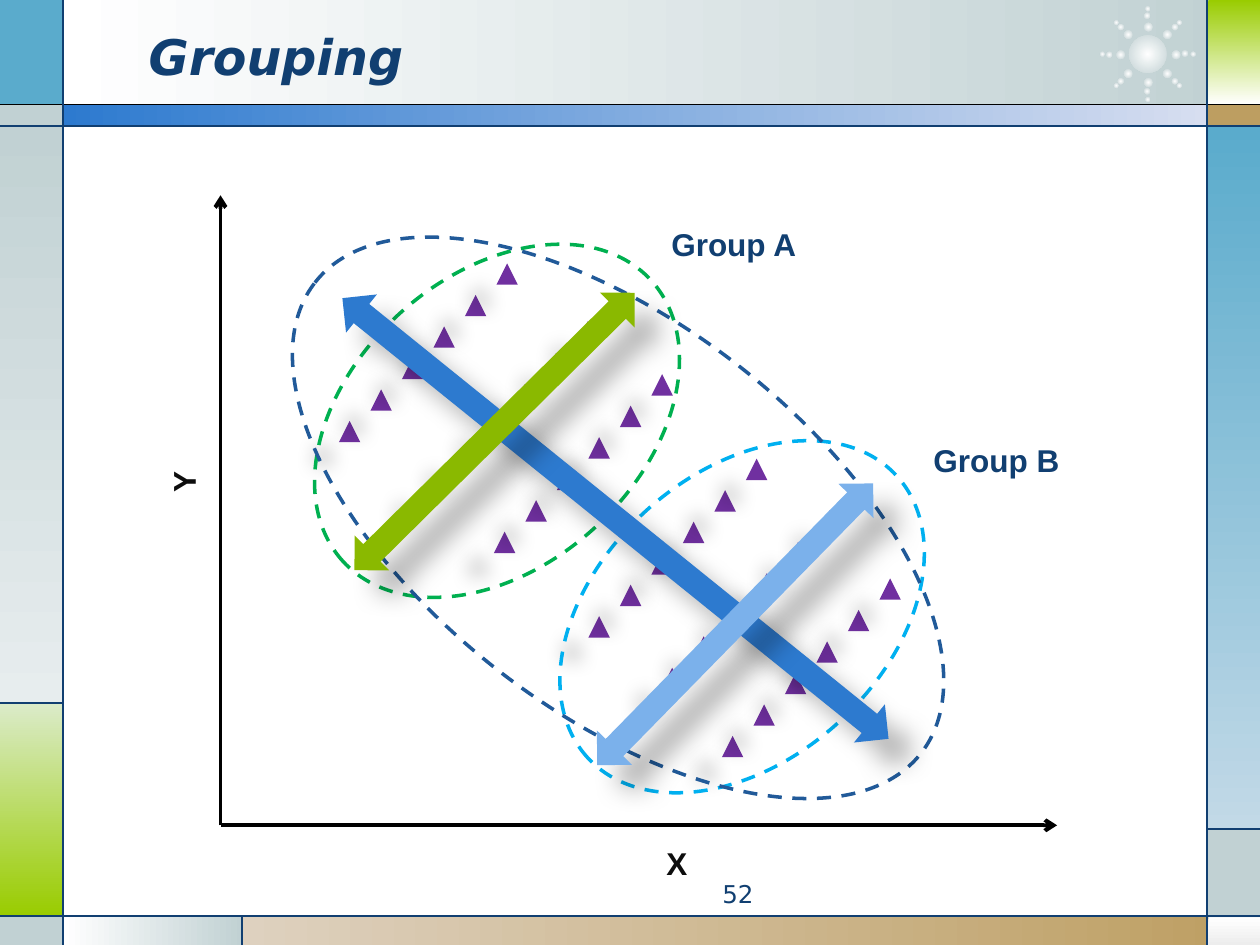
import math
from dataclasses import dataclass

from lxml import etree
from pptx import Presentation
from pptx.dml.color import RGBColor
from pptx.enum.dml import MSO_LINE
from pptx.enum.shapes import MSO_CONNECTOR, MSO_SHAPE
from pptx.enum.text import MSO_ANCHOR, MSO_AUTO_SIZE, PP_ALIGN
from pptx.oxml import parse_xml
from pptx.oxml.ns import nsdecls, qn
from pptx.util import Pt

PX = 9144  # EMU per px, 100 px to the inch
RECTANGLE, ELLIPSE = MSO_SHAPE.RECTANGLE, MSO_SHAPE.OVAL
TRIANGLE, DOUBLE_ARROW = MSO_SHAPE.ISOSCELES_TRIANGLE, MSO_SHAPE.UP_DOWN_ARROW
STRAIGHT, DASH = MSO_CONNECTOR.STRAIGHT, MSO_LINE.DASH
LEFT, RIGHT, MIDDLE, TOP = PP_ALIGN.LEFT, PP_ALIGN.RIGHT, MSO_ANCHOR.MIDDLE, MSO_ANCHOR.TOP
FIT_TEXT, FIXED = MSO_AUTO_SIZE.SHAPE_TO_FIT_TEXT, MSO_AUTO_SIZE.NONE
ACROSS, DOWN, RADIAL = 0, 270, None


@dataclass(frozen=True)
class Theme:
    heading_font: str = "DejaVu Sans"
    label_font: str = "Arial"
    title_size: int = 28
    label_size: int = 18
    number_size: int = 14
    rule_width: float = 0.75
    axis_width: float = 2.25
    outline_width: float = 2
    navy: str = "113F71"
    black: str = "000000"
    ink: str = "0D0D0D"
    white: str = "FFFFFF"
    mist: str = "C1D1D3"
    pale_mist: str = "E7EDEE"
    silver: str = "EDEDED"
    sky: str = "5AABCC"
    pale_sky: str = "C2D9E7"
    lime: str = "99CC00"
    pale_lime: str = "DBEBC9"
    tan: str = "BD9E61"
    pale_tan: str = "DED1BF"
    blue: str = "2D7ACF"
    pale_blue: str = "D7DEF0"
    light_blue: str = "7BB1EB"
    olive: str = "8AB900"
    purple: str = "7030A0"
    group_a: str = "00B050"
    group_b: str = "00B0F0"
    whole: str = "215A99"


THEME = Theme()
# Opacity %, blur pt, distance pt, direction in degrees
POINT_SHADOW = (28, 11.8, 19.7, 141)
ARROW_SHADOW = (30, 15, 18, 45)


def write(frame, text, size=THEME.label_size, font=THEME.label_font, color=THEME.navy,
          bold=False, italic=False, align=LEFT, anchor=TOP, wrap=False, fit=FIT_TEXT):
    frame.word_wrap, frame.auto_size, frame.vertical_anchor = wrap, fit, anchor
    para = frame.paragraphs[0]
    para.alignment = align
    span = para.add_run()
    span.text = text
    span.font.name, span.font.size = font, Pt(size)
    span.font.bold, span.font.italic = bold, italic
    span.font.color.rgb = RGBColor.from_string(color)


class Page:
    def __init__(self, deck, theme):
        self.theme = theme
        self.slide = deck.slides.add_slide(deck.slide_layouts[5])
        self.shapes = self.slide.shapes

    def place(self, box, left, top, width, height):
        box.left, box.top = left * PX, top * PX
        box.width, box.height = width * PX, height * PX

    def title(self, text, *bounds):
        box = self.shapes.title
        self.place(box, *bounds)
        self.shapes._spTree.append(box._element)  # lift above the frame
        write(box.text_frame, text, self.theme.title_size, self.theme.heading_font,
              bold=True, italic=True, anchor=MIDDLE, wrap=True, fit=FIXED)

    def text(self, text, *bounds, rotation=0, **style):
        box = self.shapes.add_textbox(*(value * PX for value in bounds))
        box.rotation = rotation
        write(box.text_frame, text, **style)

    def shape(self, kind, *bounds, fill=None, outline=None, rotation=0, shadow=None):
        """fill is a colour, or (first colour, last colour, direction)."""
        box = self.shapes.add_shape(kind, *(value * PX for value in bounds))
        box.rotation = rotation
        box.shadow.inherit = False
        if fill is None:
            box.fill.background()
        elif isinstance(fill, str):
            box.fill.solid()
            box.fill.fore_color.rgb = RGBColor.from_string(fill)
        else:
            self.gradient(box, *fill)
        if outline:
            box.line.color.rgb = RGBColor.from_string(outline)
            box.line.width = Pt(self.theme.outline_width)
            box.line.dash_style = DASH
        else:
            box.line.fill.background()
        if shadow:
            self.cast_shadow(box, *shadow)

    def gradient(self, box, first, last, direction):
        box.fill.gradient()
        for stop, color in zip(box.fill.gradient_stops, (first, last)):
            stop.color.rgb = RGBColor.from_string(color)
        if direction is not RADIAL:
            box.fill.gradient_angle = direction
            return
        linear = box._element.spPr.find(qn("a:gradFill")).find(qn("a:lin"))
        linear.getparent().replace(linear, parse_xml(
            f'<a:path {nsdecls("a")} path="circle">'
            '<a:fillToRect l="50000" t="50000" r="50000" b="50000"/></a:path>'))

    def cast_shadow(self, box, opacity, blur, distance, direction):
        effects = box._element.spPr.find(qn("a:effectLst"))
        effects.append(parse_xml(
            f'<a:outerShdw {nsdecls("a")} blurRad="{Pt(blur)}" dist="{Pt(distance)}" '
            f'dir="{direction * 60000}" algn="ctr" rotWithShape="0">'
            f'<a:srgbClr val="{self.theme.black}"><a:alpha val="{opacity * 1000}"/>'
            '</a:srgbClr></a:outerShdw>'))

    def line(self, *ends, color, width, arrow=False):
        rule = self.shapes.add_connector(STRAIGHT, *(value * PX for value in ends))
        rule.line.color.rgb = RGBColor.from_string(color)
        rule.line.width = Pt(width)
        if arrow:
            etree.SubElement(rule.line._get_or_add_ln(), qn("a:tailEnd"), type="arrow")
        etree.SubElement(rule._element.spPr, qn("a:effectLst"))


def draw_frame(page):
    theme = page.theme
    panels = [
        (50, 0, 927, 84, (theme.white, theme.mist, ACROSS)),
        (0, 0, 50, 84, theme.sky),
        (0, 83, 50, 17, theme.mist),
        (0, 100, 50, 458, (theme.mist, theme.pale_mist, DOWN)),
        (0, 558, 50, 169, (theme.pale_lime, theme.lime, DOWN)),
        (0, 727, 50, 23, theme.mist),
        (50, 727, 143, 23, (theme.white, theme.mist, ACROSS)),
        (192, 727, 808, 23, (theme.pale_tan, theme.tan, ACROSS)),
        (959, 727, 41, 23, (theme.white, theme.silver, DOWN)),
        (958, 658, 42, 70, theme.mist),
        (958, 100, 42, 558, (theme.sky, theme.pale_sky, DOWN)),
        (958, 83, 42, 17, theme.tan),
        (959, 0, 41, 83, (theme.lime, theme.white, DOWN)),
        (50, 83, 909, 17, (theme.blue, theme.pale_blue, ACROSS)),
    ]
    for *bounds, fill in panels:
        page.shape(RECTANGLE, *bounds, fill=fill)
    draw_sunburst(page, 911, 43)
    page.line(0, 83, 1000, 83, color=theme.black, width=theme.rule_width)
    for ends in [(0, 100, 1000, 100), (0, 727, 1000, 727), (50, 0, 50, 750),
                 (958, 0, 958, 750), (0, 558, 50, 558), (192, 727, 192, 750),
                 (958, 658, 1000, 658)]:
        page.line(*ends, color=theme.navy, width=theme.rule_width)


def draw_sunburst(page, center_x, center_y):
    glow = (page.theme.white, page.theme.mist, RADIAL)
    page.shape(ELLIPSE, center_x - 15, center_y - 15, 30, 30, fill=glow)
    for ray in range(8):
        angle = ray * math.pi / 4
        for radius, size in [(22, 7), (30, 5), (36, 4)]:
            left = round(center_x + radius * math.cos(angle) - size / 2)
            top = round(center_y + radius * math.sin(angle) - size / 2)
            page.shape(ELLIPSE, left, top, size, size, fill=glow)


def draw_chart(page):
    theme = page.theme
    for ends in [(175, 655, 839, 655), (175, 655, 175, 155)]:
        page.line(*ends, color=theme.black, width=theme.axis_width, arrow=True)
    page.text("X", 519, 665, 37, 40, color=theme.ink, bold=True)
    page.text("Y", 127, 362, 37, 40, rotation=270, color=theme.ink, bold=True)

    row_starts = [(333, 380), (392, 422), (467, 489), (525, 530), (269, 334), (573, 584)]
    for left, top in row_starts:
        for step in range(0, 150, 25):
            page.shape(TRIANGLE, left + step, top - step, 17, 17,
                       fill=theme.purple, shadow=POINT_SHADOW)

    for *bounds, rotation, outline in [(229, 219, 331, 230, 317.7, theme.group_a),
                                       (423, 376, 332, 227, 317.7, theme.group_b),
                                       (186, 257, 609, 308, 37.8, theme.whole)]:
        page.shape(ELLIPSE, *bounds, rotation=rotation, outline=outline)
    for *bounds, rotation, fill in [(469, 133, 39, 557, 308.9, theme.blue),
                                    (373, 186, 39, 313, 45.3, theme.olive),
                                    (564, 339, 39, 313, 44.4, theme.light_blue)]:
        page.shape(DOUBLE_ARROW, *bounds, rotation=rotation, fill=fill, shadow=ARROW_SHADOW)
    page.text("Group A", 523, 174, 120, 40, bold=True)
    page.text("Group B", 731, 345, 121, 40, bold=True)


def main():
    deck = Presentation()
    deck.slide_width, deck.slide_height = 1000 * PX, 750 * PX
    page = Page(deck, THEME)
    draw_frame(page)
    page.title("Grouping", 108, 13, 733, 62)
    page.text("52", 375, 693, 233, 27, size=THEME.number_size, font=THEME.heading_font,
              align=RIGHT, wrap=True, fit=FIXED)
    draw_chart(page)
    deck.save("out.pptx")


if __name__ == "__main__":
    main()
